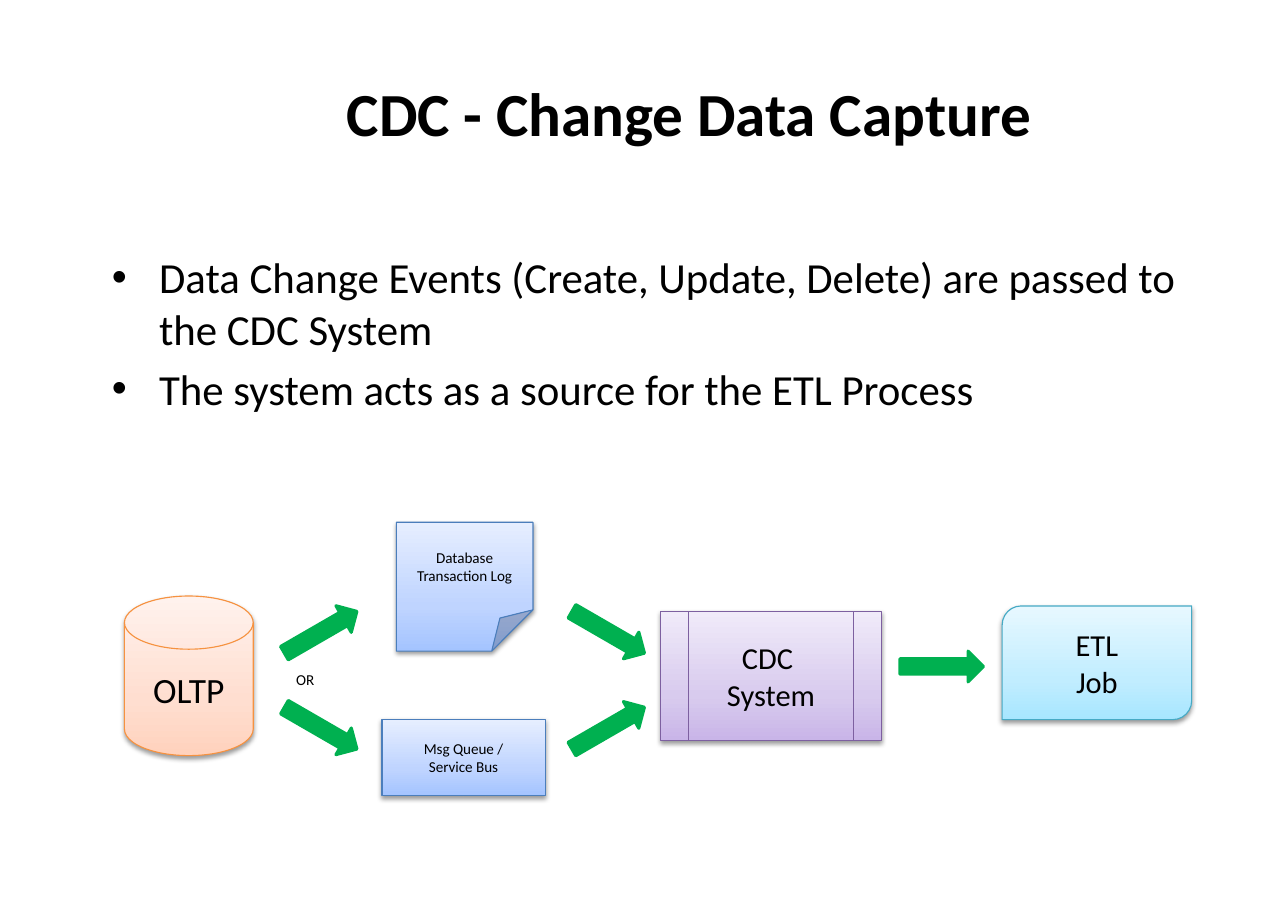
from lxml.etree import SubElement
from pptx import Presentation
from pptx.dml.color import RGBColor
from pptx.enum.shapes import MSO_SHAPE
from pptx.enum.text import MSO_ANCHOR, MSO_AUTO_SIZE, PP_ALIGN
from pptx.oxml import parse_xml
from pptx.oxml.ns import nsdecls, qn
from pptx.util import Cm, Pt

# Content
TITLE = "CDC - Change Data Capture"
POINTS = [
    "Data Change Events (Create, Update, Delete) are passed to the CDC System",
    "The system acts as a source for the ETL Process",
]
FONT = "Calibri"
COLORS = {"text": "000000", "arrow": "00B050", "shadow": "000000"}
# Outline, then gradient from bottom to top
TINTS = {
    "orange": ("F69240", ("FFD2BD", "FFDED0", "FFF2ED")),
    "blue": ("4B7EBC", ("A4C4FF", "BFD4FF", "E6EEFF")),
    "purple": ("7D60A0", ("C9B5E8", "D8CBEE", "F0EAF9")),
    "aqua": ("46AAC5", ("A7E6FF", "C1EDFF", "E7F8FF")),
}
GRADIENT_STOPS = (0, 35, 100)
# Label, shape, tint, text size, (left, top, width, height) in cm
STAGES = [
    ("OLTP", MSO_SHAPE.FLOWCHART_MAGNETIC_DISK, "orange", 23.2, (2.87, 13.74, 2.97, 3.68)),
    ("Database\vTransaction Log", MSO_SHAPE.FOLDED_CORNER, "blue", 9.9, (9.14, 12.04, 3.15, 2.97)),
    ("CDC \nSystem", MSO_SHAPE.FLOWCHART_PREDEFINED_PROCESS, "purple", 19.9, (15.24, 14.1, 5.08, 2.97)),
    ("ETL\vJob", MSO_SHAPE.ROUND_2_DIAG_RECTANGLE, "aqua", 19.9, (23.11, 13.97, 4.37, 2.62)),
    ("Msg Queue /\vService Bus", MSO_SHAPE.FLOWCHART_PROCESS, "blue", 9.9, (8.81, 16.59, 3.76, 1.75)),
]
FOLD = 0.32
# Arrows split after OLTP and meet again before the CDC system
SPLIT_X, MERGE_X, ETL_X = 6.43, 13.06, 20.75
UPPER_Y, LOWER_Y, ETL_Y = 14.22, 16.43, 15.01
TILT = 30
ARROWS = [
    (SPLIT_X, UPPER_Y, -TILT), (SPLIT_X, LOWER_Y, TILT),
    (MERGE_X, UPPER_Y, TILT), (MERGE_X, LOWER_Y, -TILT),
    (ETL_X, ETL_Y, 0),
]


def place(part, left, top, width, height):
    part.left, part.top, part.width, part.height = map(Cm, (left, top, width, height))


def style_text(frame, size, align=None, bold=False):
    for paragraph in frame.paragraphs:
        if align is not None:
            paragraph.alignment = align
        for run in paragraph.runs:
            run.font.name, run.font.size, run.font.bold = FONT, Pt(size), bold
            run.font.color.rgb = RGBColor.from_string(COLORS["text"])


def set_insets(frame):
    frame.auto_size = MSO_AUTO_SIZE.NONE
    frame.margin_left = frame.margin_right = Cm(0.29)
    frame.margin_top = frame.margin_bottom = Cm(0.14)


def set_fold(stage):
    geometry = stage._element.spPr.find(qn("a:prstGeom"))
    SubElement(geometry.get_or_add_avLst(), qn("a:gd"),
               name="adj", fmla=f"val {round(FOLD * 100000)}")


def add_gradient(stage, tints):
    stops = "".join(
        f'<a:gs pos="{stop * 1000}"><a:srgbClr val="{tint}"/></a:gs>'
        for stop, tint in zip(GRADIENT_STOPS, tints))
    gradient = parse_xml(
        f'<a:gradFill {nsdecls("a")} rotWithShape="1"><a:gsLst>{stops}</a:gsLst>'
        '<a:lin ang="16200000" scaled="0"/></a:gradFill>')
    stage._element.spPr.find(qn("a:prstGeom")).addnext(gradient)


def add_shadow(stage):
    effects = stage._element.spPr.find(qn("a:effectLst"))
    shadow = SubElement(effects, qn("a:outerShdw"), blurRad=str(Pt(3.1)),
                        dist=str(Pt(1.6)), dir="5400000", rotWithShape="0")
    color = SubElement(shadow, qn("a:srgbClr"), val=COLORS["shadow"])
    SubElement(color, qn("a:alpha"), val="38000")


def main():
    deck = Presentation()
    deck.slide_width, deck.slide_height = Cm(29.7), Cm(21)
    slide = deck.slides.add_slide(deck.slide_layouts[1])
    title, body = slide.shapes.title, slide.placeholders[1]

    # Title
    place(title, 3.58, 0.84, 24.61, 3.5)
    title.text_frame.text = TITLE
    title.text_frame.vertical_anchor = MSO_ANCHOR.MIDDLE
    set_insets(title.text_frame)
    style_text(title.text_frame, 40, PP_ALIGN.CENTER, bold=True)

    # Bullet list
    place(body, 2.29, 5.64, 25.22, 10.11)
    body.text_frame.text = "\n".join(POINTS)
    set_insets(body.text_frame)
    for index, point in enumerate(body.text_frame.paragraphs):
        properties = point._p.get_or_add_pPr()
        properties.set("marL", str(Cm(1.09)))
        properties.set("indent", str(-Cm(1.09)))
        SubElement(properties, qn("a:buChar"), char="•")
        point.space_before = Pt(5.6 if index else 0)
    style_text(body.text_frame, 28)

    # Stages of the data flow
    for label, outline, tint, size, box in STAGES:
        stage = slide.shapes.add_shape(outline, *map(Cm, box))
        if outline == MSO_SHAPE.FOLDED_CORNER:
            set_fold(stage)
        line_color, tints = TINTS[tint]
        add_gradient(stage, tints)
        stage.line.color.rgb = RGBColor.from_string(line_color)
        stage.line.width = Pt(0.75)
        stage.shadow.inherit = False
        add_shadow(stage)
        stage.text_frame.text = label
        stage.text_frame.vertical_anchor = MSO_ANCHOR.MIDDLE
        style_text(stage.text_frame, size, PP_ALIGN.CENTER)

    # Arrows
    green = RGBColor.from_string(COLORS["arrow"])
    for left, top, angle in ARROWS:
        arrow = slide.shapes.add_shape(
            MSO_SHAPE.RIGHT_ARROW, Cm(left), Cm(top), Cm(1.93), Cm(0.71))
        arrow.rotation = angle
        arrow.fill.solid()
        arrow.fill.fore_color.rgb = green
        arrow.line.color.rgb = green
        arrow.line.width = Pt(2)
        arrow.shadow.inherit = False

    # Choice between the two routes
    choice = slide.shapes.add_textbox(Cm(6.58), Cm(15.32), Cm(0.94), Cm(0.69))
    choice.text_frame.text = "OR"
    choice.text_frame.word_wrap = False
    choice.text_frame.auto_size = MSO_AUTO_SIZE.SHAPE_TO_FIT_TEXT
    style_text(choice.text_frame, 9.9)

    deck.save("out.pptx")


if __name__ == "__main__":
    main()
